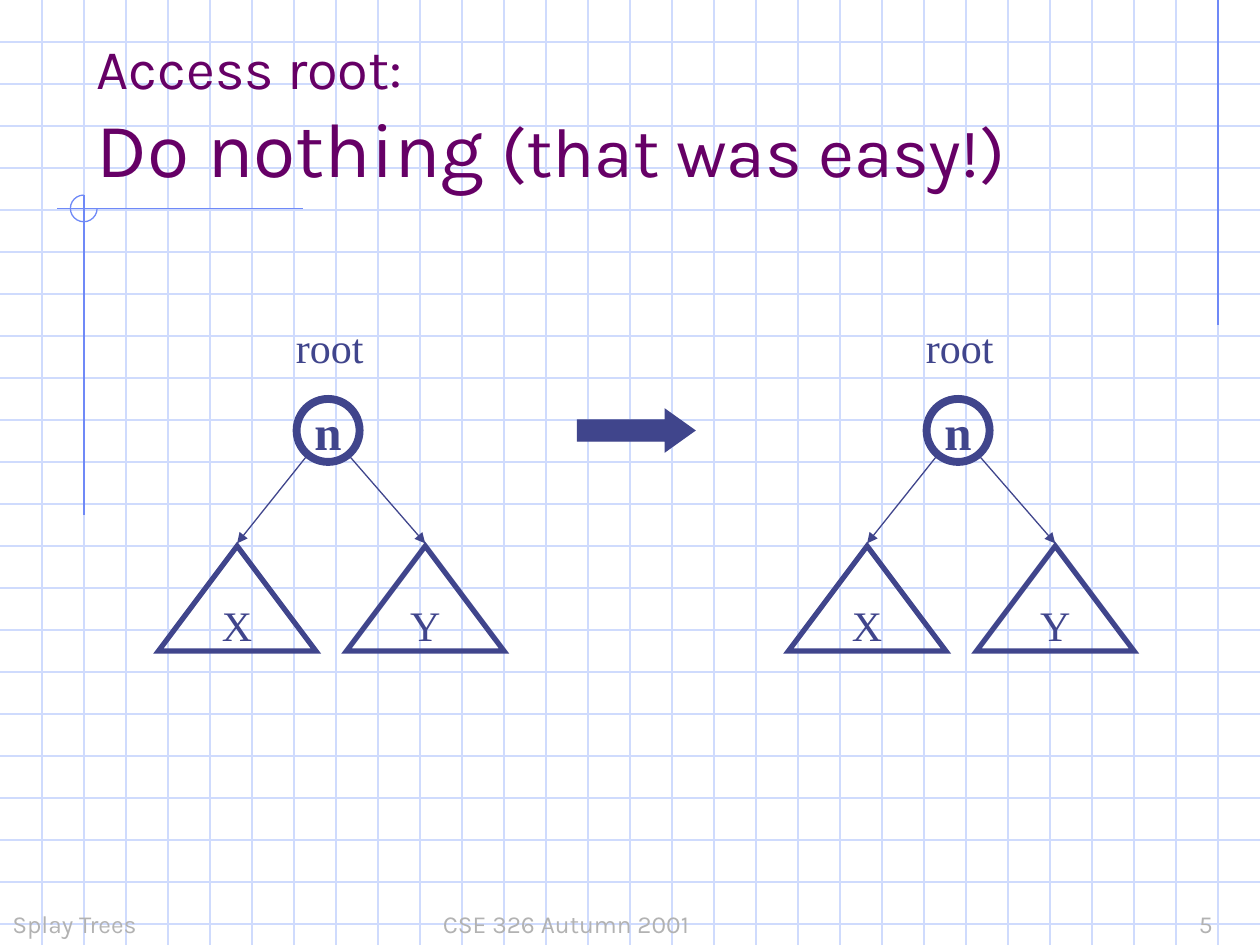
from lxml.etree import SubElement
from pptx import Presentation
from pptx.dml.color import RGBColor
from pptx.enum.shapes import MSO_CONNECTOR, MSO_SHAPE as SHAPE
from pptx.enum.text import MSO_ANCHOR as ANCHOR, MSO_AUTO_SIZE as AUTO, PP_ALIGN as ALIGN
from pptx.oxml.ns import qn
from pptx.util import Pt

WIDTH, HEIGHT, GRID = 720, 540, 24
PALE, BLUE, INK = "CFDBFD", "6F89F7", "40458C"
PURPLE, GRAY = "660066", "B2B2B2"
SANS, SERIF = "Karla", "Times New Roman"

TITLE = [("Access root:\n", 32), ("Do nothing", 44), (" (that was easy!)", 40)]
FOOTERS = [("Splay Trees", 0, 150), ("CSE 326 Autumn 2001\t5", 246, 474)]
PAGE_NUMBER_TAB = 432
RULES = [
    (696, 0, 696, 186),
    (173, 119.25, 32.5, 119.25),
    (48, 111.5, 48, 294.5),
]
# Parts of a tree, measured from the tree's left edge
TREE_LEFTS = [90.5, 450.5]
SUBTREES = [("X", 0), ("Y", 107.5)]
BRANCHES = [(84.5, 45), (109.5, 152.5)]

prs = Presentation()
prs.slide_width, prs.slide_height = Pt(WIDTH), Pt(HEIGHT)
slide = prs.slides.add_slide(prs.slide_layouts[6])


def rgb(color):
    return RGBColor.from_string(color)


def add_line(x1, y1, x2, y2, color, arrow=False):
    line = slide.shapes.add_connector(
        MSO_CONNECTOR.STRAIGHT, Pt(x1), Pt(y1), Pt(x2), Pt(y2))
    line.line.color.rgb = rgb(color)
    line.line.width = Pt(0.75)
    if arrow:
        SubElement(line.line._get_or_add_ln(), qn("a:tailEnd"), type="triangle")
    SubElement(line._element.spPr, qn("a:effectLst"))


def add_shape(kind, x, y, w, h, color, weight=0.75, filled=False):
    shape = slide.shapes.add_shape(kind, Pt(x), Pt(y), Pt(w), Pt(h))
    shape.shadow.inherit = False
    if filled:
        shape.fill.solid()
        shape.fill.fore_color.rgb = rgb(color)
    else:
        shape.fill.background()
    shape.line.color.rgb = rgb(color)
    shape.line.width = Pt(weight)
    SubElement(shape.line._get_or_add_ln(), qn("a:miter"), lim="800000")
    return shape


def add_box(x, y, w, h):
    return slide.shapes.add_textbox(Pt(x), Pt(y), Pt(w), Pt(h))


def write(shape, text, size=24, font=SERIF, color=INK, bold=False,
          align=ALIGN.LEFT, anchor=ANCHOR.TOP, wrap=False, fit=AUTO.NONE):
    """Append a run to the shape's paragraph; a final newline breaks the line."""
    frame = shape.text_frame
    frame.word_wrap, frame.vertical_anchor, frame.auto_size = wrap, anchor, fit
    paragraph = frame.paragraphs[0]
    paragraph.alignment = align
    run = paragraph.add_run()
    run.text = text.rstrip("\n")
    run.font.size, run.font.name, run.font.bold = Pt(size), font, bold
    run.font.color.rgb = rgb(color)
    if text.endswith("\n"):
        paragraph.add_line_break()


def add_tree(left):
    for label, offset in SUBTREES:
        subtree = add_shape(SHAPE.ISOSCELES_TRIANGLE, left + offset, 312, 90, 60, INK, 3)
        write(subtree, label, align=ALIGN.CENTER, anchor=ANCHOR.MIDDLE)
    node = add_shape(SHAPE.OVAL, left + 79, 228, 36, 36, INK, 4.5)
    write(node, "n", size=28, bold=True, align=ALIGN.CENTER, anchor=ANCHOR.MIDDLE)
    for start, end in BRANCHES:
        add_line(left + start, 261, left + end, 310.5, INK, arrow=True)
    write(add_box(left + 71.5, 180, 54, 36), "root", fit=AUTO.SHAPE_TO_FIT_TEXT)


for y in range(GRID, HEIGHT, GRID):
    add_line(0, y, WIDTH, y, PALE)
for x in range(GRID, WIDTH, GRID):
    add_line(x, 0, x, HEIGHT, PALE)

for ends in RULES:
    add_line(*ends, BLUE)
corner = add_shape(SHAPE.ARC, 40.25, 111.5, 15.25, 15.25, BLUE)
corner.adjustments[0] = 0
corner.adjustments[1] = 162  # 270 degrees, in units of 100000/60000 degree

for text, x, w in FOOTERS:
    footer = add_box(x, 504, w, 36)
    write(footer, text, size=14, font=SANS, color=GRAY, anchor=ANCHOR.BOTTOM, wrap=True)
    if "\t" in text:
        tabs = SubElement(footer.text_frame.paragraphs[0]._p.get_or_add_pPr(), qn("a:tabLst"))
        SubElement(tabs, qn("a:tab"), pos=str(Pt(PAGE_NUMBER_TAB)), algn="l")

title = add_box(48, 24, 612, 90)
for text, size in TITLE:
    write(title, text, size=size, font=SANS, color=PURPLE, anchor=ANCHOR.BOTTOM, wrap=True)

for left in TREE_LEFTS:
    add_tree(left)
step = add_shape(SHAPE.RIGHT_ARROW, 330, 234, 67, 24, INK, filled=True)
step.adjustments[0], step.adjustments[1] = 0.5, 0.7

prs.save("out.pptx")
